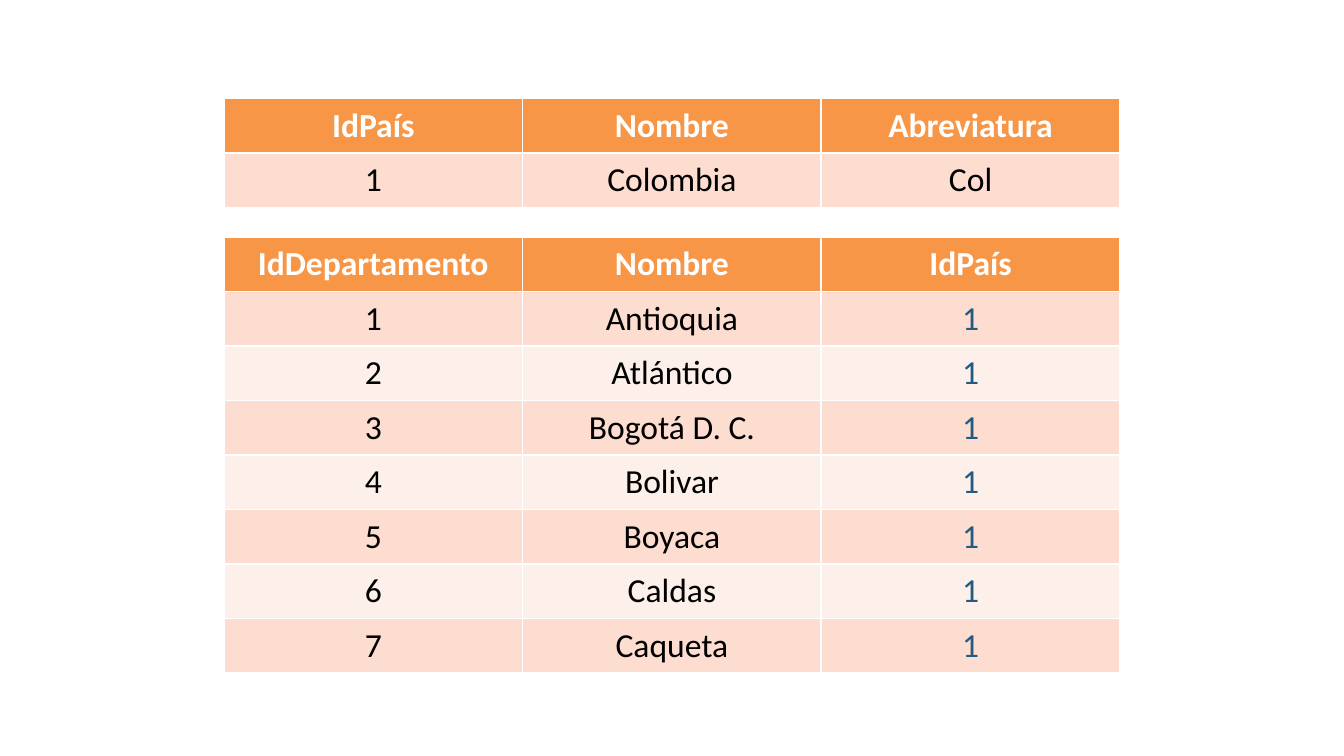
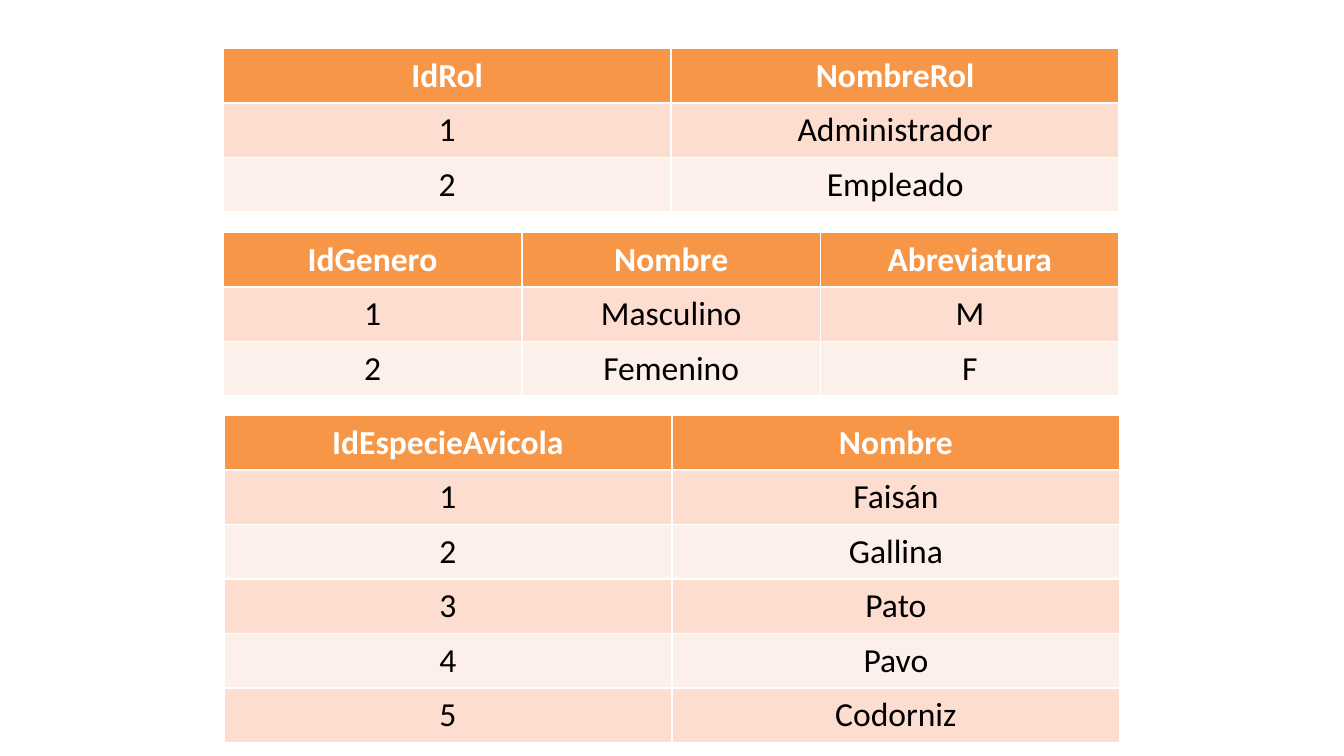
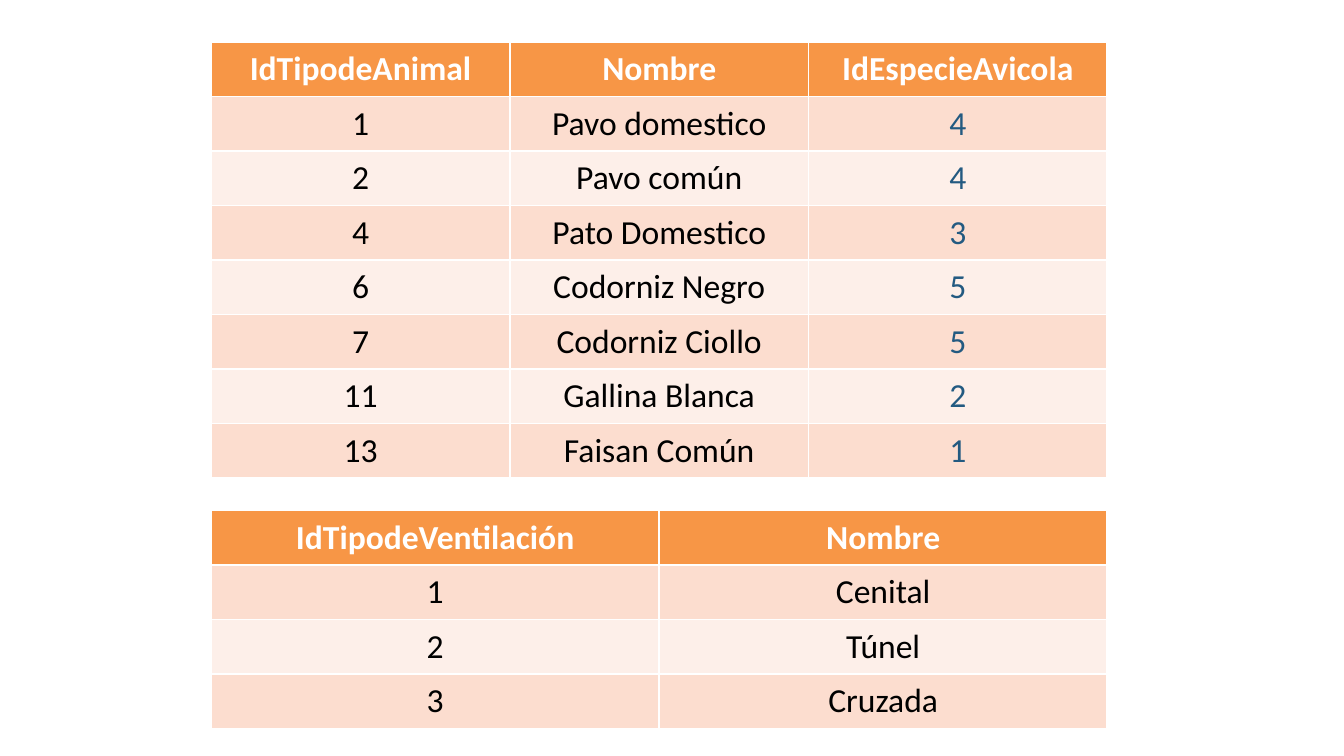
from dataclasses import dataclass

from pptx import Presentation
from pptx.dml.color import RGBColor
from pptx.enum.text import MSO_ANCHOR, PP_ALIGN
from pptx.slide import Slide
from pptx.table import _Cell
from pptx.util import Pt

COLORS = {
    "header": "F79646",
    "odd_row": "FCDDCF",
    "even_row": "FDEFE9",
    "header_text": "FFFFFF",
    "text": "000000",
    "foreign_key": "235A81",
}
FONT = "Calibri"
FONT_SIZE = 18
TABLE_WIDTH = 480
BLANK_LAYOUT = 6


@dataclass
class DataTable:
    left: float
    top: float
    headers: list[str]
    rows: list[tuple[str, ...]]
    row_height: float = 29.2
    has_foreign_key: bool = False  # the last column refers to another table


SLIDES = [
    [
        DataTable(120, 52.7, ["IdPaís", "Nombre", "Abreviatura"],
                  [("1", "Colombia", "Col")]),
        DataTable(120, 127, ["IdDepartamento", "Nombre", "IdPaís"],
                  [("1", "Antioquia", "1"),
                   ("2", "Atlántico", "1"),
                   ("3", "Bogotá D. C.", "1"),
                   ("4", "Bolivar", "1"),
                   ("5", "Boyaca", "1"),
                   ("6", "Caldas", "1"),
                   ("7", "Caqueta", "1")],
                  row_height=28.8, has_foreign_key=True),
    ],
    [
        DataTable(119.6, 26, ["IdRol", "NombreRol"],
                  [("1", "Administrador"), ("2", "Empleado")]),
        DataTable(119.6, 124.6, ["IdGenero", "Nombre", "Abreviatura"],
                  [("1", "Masculino", "M"), ("2", "Femenino", "F")]),
        DataTable(120, 222.6, ["IdEspecieAvicola", "Nombre"],
                  [("1", "Faisán"),
                   ("2", "Gallina"),
                   ("3", "Pato"),
                   ("4", "Pavo"),
                   ("5", "Codorniz")]),
    ],
    [
        DataTable(113.2, 22.6, ["IdTipodeAnimal", "Nombre", "IdEspecieAvicola"],
                  [("1", "Pavo domestico", "4"),
                   ("2", "Pavo común", "4"),
                   ("4", "Pato Domestico", "3"),
                   ("6", "Codorniz Negro", "5"),
                   ("7", "Codorniz Ciollo", "5"),
                   ("11", "Gallina Blanca", "2"),
                   ("13", "Faisan Común", "1")],
                  row_height=28.8, has_foreign_key=True),
        DataTable(113.2, 273.6, ["IdTipodeVentilación", "Nombre"],
                  [("1", "Cenital"), ("2", "Túnel"), ("3", "Cruzada")]),
    ],
]


def rgb(name: str) -> RGBColor:
    return RGBColor.from_string(COLORS[name])


def fill_cell(cell: _Cell, text: str, fill: str, color: str, bold: bool) -> None:
    cell.fill.solid()
    cell.fill.fore_color.rgb = rgb(fill)
    cell.vertical_anchor = MSO_ANCHOR.TOP if bold else MSO_ANCHOR.MIDDLE
    cell.text_frame.text = text
    p = cell.text_frame.paragraphs[0]
    p.alignment = PP_ALIGN.CENTER
    font = p.runs[0].font
    font.name = FONT
    font.size = Pt(FONT_SIZE)
    font.bold = bold
    font.color.rgb = rgb(color)


def draw_table(slide: Slide, data: DataTable) -> None:
    """Draw a banded table; its white rules come from the default table style."""
    row_count, col_count = len(data.rows) + 1, len(data.headers)
    table = slide.shapes.add_table(
        row_count, col_count, Pt(data.left), Pt(data.top),
        Pt(TABLE_WIDTH), Pt(data.row_height * row_count)).table
    for row in table.rows:
        row.height = Pt(data.row_height)

    for c, header in enumerate(data.headers):
        fill_cell(table.cell(0, c), header, "header", "header_text", bold=True)
    for r, values in enumerate(data.rows, start=1):
        fill = "odd_row" if r % 2 else "even_row"
        for c, value in enumerate(values):
            is_key = data.has_foreign_key and c == col_count - 1
            color = "foreign_key" if is_key else "text"
            fill_cell(table.cell(r, c), value, fill, color, bold=False)


def main() -> None:
    prs = Presentation()
    prs.slide_width, prs.slide_height = Pt(720), Pt(405)
    for tables in SLIDES:
        slide = prs.slides.add_slide(prs.slide_layouts[BLANK_LAYOUT])
        for data in tables:
            draw_table(slide, data)
    prs.save("out.pptx")


if __name__ == "__main__":
    main()
